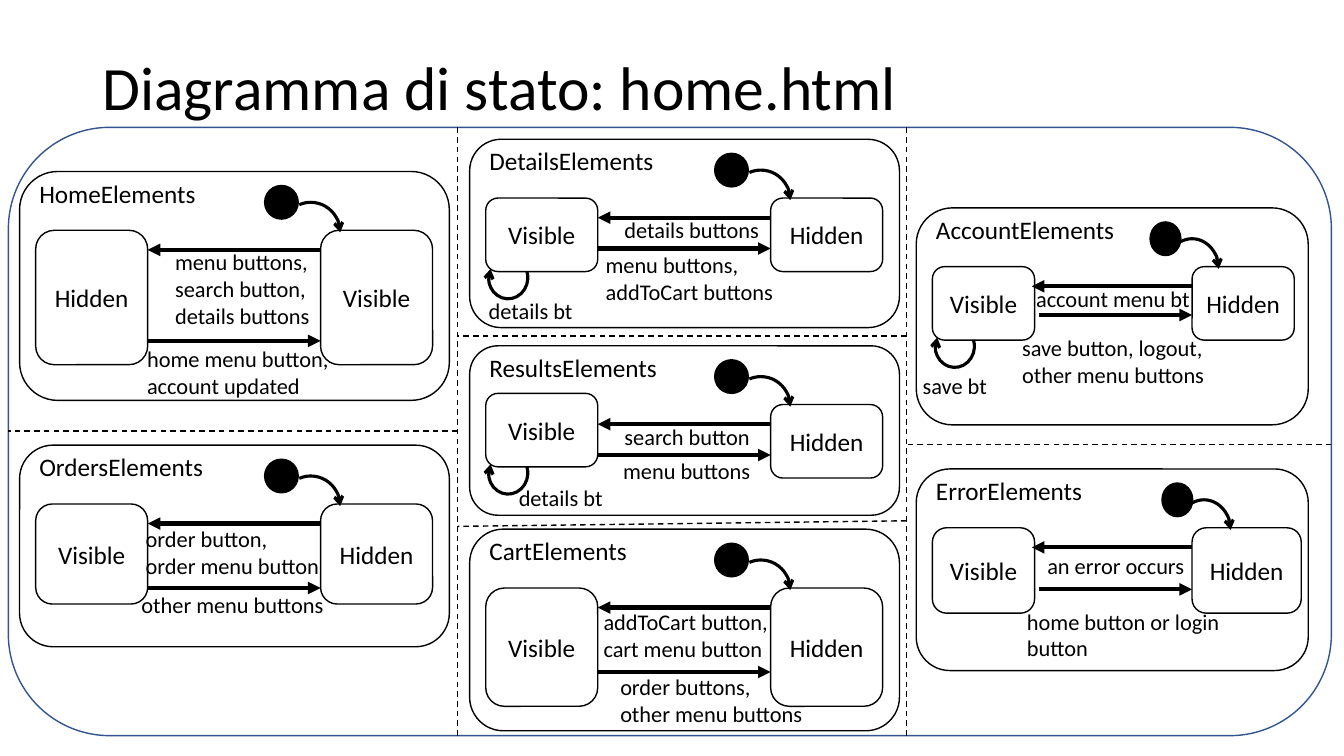
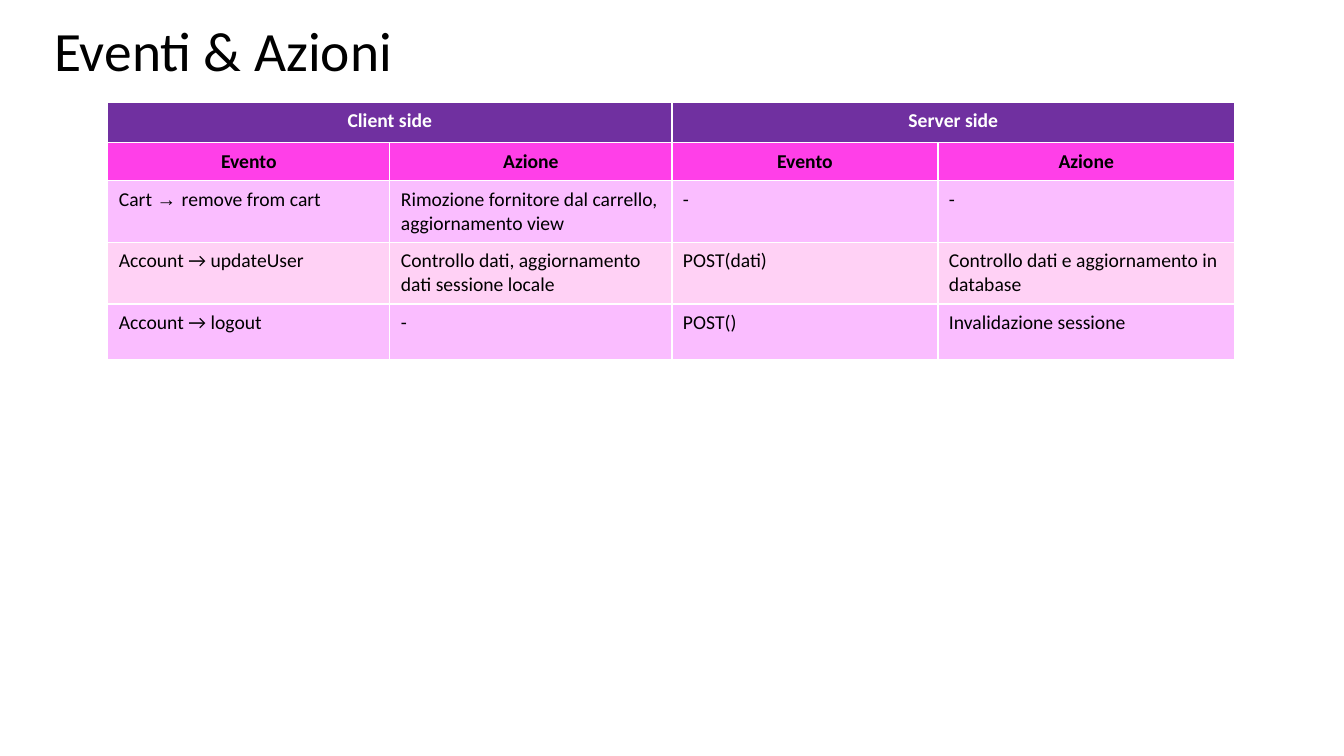
"""Builds a state diagram slide and an events table slide."""
from lxml import etree
from pptx import Presentation
from pptx.dml.color import RGBColor
from pptx.enum import dml, shapes, text
from pptx.oxml.ns import qn
from pptx.util import Pt

FONT = "Calibri"
BLACK, WHITE, BLUE = "000000", "FFFFFF", "325491"
PURPLE, PINK, LILAC, ROSE = "7030A0", "FF3FE8", "FABDFF", "FFD1F5"
KIND = shapes.MSO_SHAPE

COLS = [
    dict(x=14, w=307, box=80, right=215, dot=175, size=24, arc=42, gaps=(0, 0)),
    dict(x=335.5, w=307, box=80, right=215, dot=175, size=24, arc=42, gaps=(0, 0)),
    dict(x=654.5, w=280, box=73, right=197, dot=167, size=22, arc=38, gaps=(-2, 3)),
]
MACHINES = [
    dict(name="HomeElements", col=0, y=122.5, h=163.5, box=96, gap=65,
         states=("Hidden", "Visible"), labels=[
             ("menu buttons,\nsearch button,\ndetails buttons", 118, 174, 116),
             ("home menu button,\naccount updated", 98, 243, 174)]),
    dict(name="OrdersElements", col=0, y=318, h=144, box=71.5, gap=46, labels=[
        ("order button,\norder menu button", 97, 371.5, 142),
        ("other menu buttons", 94, 419, 150)]),
    dict(name="DetailsElements", col=1, y=99.5, h=134.5, box=52.5, gap=22,
         loop=True, labels=[
             ("details buttons", 439, 151, 116),
             ("menu buttons,\naddToCart buttons", 425.5, 176, 154),
             ("details bt", 342, 209, 116)]),
    dict(name="ResultsElements", col=1, y=247, h=121, box=52.5, gap=22,
         loop=True, lift=8, labels=[
             ("search button", 439, 299, 116),
             ("menu buttons", 438, 323, 142),
             ("details bt", 363.5, 342, 116)]),
    dict(name="CartElements", col=1, y=378, h=144, box=84.5, gap=46, labels=[
        ("addToCart button,\ncart menu button", 424, 431, 142),
        ("order buttons,\nother menu buttons", 436, 477, 152)]),
    dict(name="AccountElements", col=2, y=148.5, h=155, box=52.5, gap=20.5,
         loop=True, labels=[
             ("account menu bt", 733, 200, 163),
             ("save button, logout,\nother menu buttons", 723, 235, 177),
             ("save bt", 652, 262, 116)]),
    dict(name="ErrorElements", col=2, y=335, h=144, box=61, gap=30,
         wide=5, shift=8.5, labels=[
             ("an error occurs", 741, 391, 133),
             ("home button or login button", 726.5, 430.5, 177)]),
]
LEFT, TOP, EDGE, END = 6, 91, 951, 525.5
MID1, MID2 = 327, 647.5
SPLITS = [
    (MID1, TOP, MID1, END), (MID2, TOP, MID2, END), (MID1, 308, LEFT, 308),
    (MID2, 240, MID1, 240), (MID2, 372, MID1, 376), (EDGE, 317.5, MID2, 317.5),
]

SIDES = ["Client side", "Server side"]
HEADS = ["Evento", "Azione"] * 2
ARROW = "→ "
EVENTS = [
    [("Cart ", ARROW, "remove from cart"),
     "Rimozione fornitore dal carrello, aggiornamento view", "-", "-"],
    ["Account → updateUser", "Controllo dati, aggiornamento dati sessione locale",
     "POST(dati)", "Controllo dati e aggiornamento in database"],
    ["Account → logout", "-", "POST()", "Invalidazione sessione"],
]
WIDTHS = [201.5, 201.5, 190, 212]
HEIGHTS = [29, 27, 40, 40, 40]


def rgb(code):
    return RGBColor.from_string(code)


def pts(*vals):
    return [Pt(v) for v in vals]


def style(frame, size, color=BLACK, bold=False, align=None):
    for para in frame.paragraphs:
        para.alignment = align
        for run in para.runs:
            font = run.font
            font.name, font.size, font.bold = FONT, Pt(size), bold
            font.color.rgb = rgb(color)


def title(slide, words, at, size):
    shape = slide.shapes.title
    shape.left, shape.top, shape.width, shape.height = pts(*at)
    frame = shape.text_frame
    frame.text = words
    frame.auto_size = text.MSO_AUTO_SIZE.NONE
    frame.vertical_anchor = text.MSO_ANCHOR.MIDDLE
    style(frame, size, align=text.PP_ALIGN.LEFT)
    frame.paragraphs[0].line_spacing = 0.9


def stroke(shape, width, color=BLACK, head=None):
    shape.line.width = Pt(width)
    shape.line.color.rgb = rgb(color)
    if head:
        line = shape._element.spPr.find(qn("a:ln"))
        etree.SubElement(line, qn("a:tailEnd")).set("type", head)


def block(pool, kind, at, fill=None, color=BLACK, width=1, head=None):
    shape = pool.add_shape(kind, *pts(*at))
    shape.shadow.inherit = False
    if fill:
        shape.fill.solid()
        shape.fill.fore_color.rgb = rgb(fill)
    else:
        shape.fill.background()
    stroke(shape, width, color, head)
    return shape


def curve(pool, at, end, turn=0):
    shape = block(pool, KIND.ARC, at, width=2.25, head="arrow")
    shape.adjustments[0] = 148.466
    shape.adjustments[1] = end
    shape.rotation = turn


def link(pool, ends, width, head=None):
    line = pool.add_connector(shapes.MSO_CONNECTOR.STRAIGHT, *pts(*ends))
    stroke(line, width, head=head)
    etree.SubElement(line._element.spPr, qn("a:effectLst"))
    return line


def label(pool, words, x, y, w, size=16):
    h = 7.2 + size * 1.2 * (words.count("\n") + 1)
    frame = pool.add_textbox(*pts(x, y, w, h)).text_frame
    frame.word_wrap = True
    frame.auto_size = text.MSO_AUTO_SIZE.SHAPE_TO_FIT_TEXT
    frame.text = words
    style(frame, size)


def state(pool, words, at):
    frame = block(pool, KIND.ROUNDED_RECTANGLE, at, WHITE).text_frame
    frame.text = words
    frame.vertical_anchor = text.MSO_ANCHOR.MIDDLE
    style(frame, 18, align=text.PP_ALIGN.CENTER)


def machine(pool, item):
    col = COLS[item["col"]]
    x, y, box = col["x"], item["y"], item["box"]
    block(pool, KIND.ROUNDED_RECTANGLE, (x, y, col["w"], item["h"]), WHITE)
    label(pool, item["name"], x + 7, y + 1, 152, 18)

    near, far, top = x + 11.5, x + col["right"], y + 42
    high = top - item.get("lift", 0)
    first, last = item.get("states", ("Visible", "Hidden"))
    state(pool, first, (near, high, col["box"], box))
    state(pool, last, (far, top, col["box"] + item.get("wide", 0), box))

    start = pool.add_group_shape().shapes
    dot, size = x + col["dot"] + item.get("shift", 0), col["size"]
    block(start, KIND.OVAL, (dot, y + 10, size, 24), BLACK)
    curve(start, (dot + size / 2, y + 22, col["arc"], 43), 0)

    back, out = [near + col["box"] + gap for gap in col["gaps"]]
    row = top + 14
    link(pool, (far, row, back, row), 3, "triangle")
    row += item["gap"]
    link(pool, (out, row, far, row), 3, "triangle")
    if item.get("loop"):
        curve(pool, (near + 1, high + box - 9.5, 30, 28), 67.981, 93.3)
    for entry in item["labels"]:
        label(pool, *entry)


def diagram(slide):
    title(slide, "Diagramma di stato: home.html", (66, 23, 828, 83.5), 44)
    pool = slide.shapes
    for item in MACHINES:
        machine(pool, item)
    block(pool, KIND.ROUNDED_RECTANGLE, (LEFT, TOP, EDGE - LEFT, END - TOP), color=BLUE)
    for ends in SPLITS:
        link(pool, ends, 1).line.dash_style = dml.MSO_LINE.DASH


def fill(cell, words, back, color=BLACK, head=False):
    cell.fill.solid()
    cell.fill.fore_color.rgb = rgb(back)
    cell.margin_left = cell.margin_right = Pt(7.9)
    cell.margin_top = cell.margin_bottom = Pt(5)
    para = cell.text_frame.paragraphs[0]
    for part in (words,) if isinstance(words, str) else words:
        para.add_run().text = part
    align = text.PP_ALIGN.CENTER if head else text.PP_ALIGN.LEFT
    style(cell.text_frame, 14, color, head, align)
    for run in para.runs:
        if run.text == ARROW:
            run.font.name = "Arial"


def events(slide):
    title(slide, "Eventi & Azioni", (31.5, 17, 828, 43), 39.6)
    at = pts(77, 73, sum(WIDTHS), sum(HEIGHTS))
    table = slide.shapes.add_table(len(HEIGHTS), len(WIDTHS), *at).table
    table.horz_banding = False
    for col, width in zip(table.columns, WIDTHS):
        col.width = Pt(width)
    for row, height in zip(table.rows, HEIGHTS):
        row.height = Pt(height)
    for i, side in enumerate(SIDES):
        cell = table.cell(0, 2 * i)
        cell.merge(table.cell(0, 2 * i + 1))
        fill(cell, side, PURPLE, WHITE, True)
    for c, head in enumerate(HEADS):
        fill(table.cell(1, c), head, PINK, head=True)
    for r, row in enumerate(EVENTS):
        for c, words in enumerate(row):
            fill(table.cell(r + 2, c), words, ROSE if r % 2 else LILAC)


def main():
    deck = Presentation()
    deck.slide_width, deck.slide_height = pts(960, 540)
    for build in (diagram, events):
        build(deck.slides.add_slide(deck.slide_layouts[5]))
    deck.save("out.pptx")


if __name__ == "__main__":
    main()
